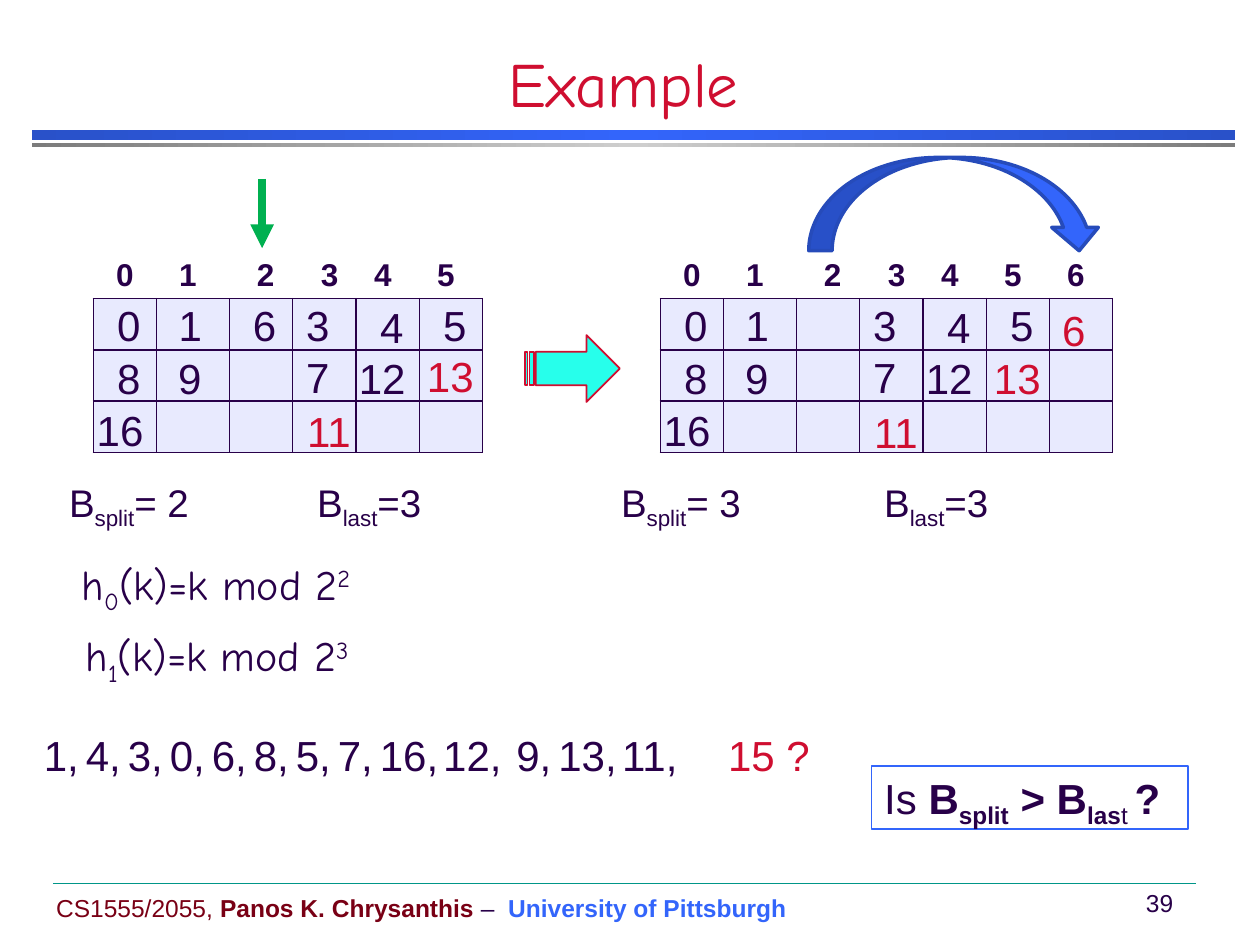
from lxml.etree import SubElement
from pptx import Presentation
from pptx.dml.color import RGBColor
from pptx.enum.shapes import MSO_CONNECTOR, MSO_SHAPE
from pptx.enum.text import MSO_ANCHOR, MSO_AUTO_SIZE, PP_ALIGN
from pptx.oxml.ns import qn
from pptx.util import Pt

INK = {
    "text": "280049", "red": "CF0E30", "maroon": "790015", "blue": "3365FB",
    "navy": "2951C9", "edge": "264BBA", "gray": "7C7C7C", "silver": "CECECE",
    "cell": "E8EAFE", "green": "00B050", "cyan": "27FFEB", "teal": "009688",
}
RGB = {name: RGBColor.from_string(code) for name, code in INK.items()}
PLAIN = "{2D5ABB26-0587-4C30-8999-92F81FD0307C}"  # table style without lines or fill


def write(para, text, size=24, font="Arial", color="text", bold=False, base=0):
    """Add one run; base is the percent it is raised or lowered."""
    run = para.add_run()
    run.text = text
    run.font.size = Pt(size)
    run.font.name = font
    run.font.bold = bold
    run.font.color.rgb = RGB[color]
    if base:
        run._r.get_or_add_rPr().set("baseline", str(base * 1000))


def box(x, y, w, h=36.7, wrap=True, align=PP_ALIGN.LEFT, anchor=MSO_ANCHOR.TOP):
    """Add a text box and return its first paragraph."""
    frame = slide.shapes.add_textbox(Pt(x), Pt(y), Pt(w), Pt(h)).text_frame
    frame.word_wrap = wrap
    frame.auto_size = MSO_AUTO_SIZE.SHAPE_TO_FIT_TEXT
    frame.vertical_anchor = anchor
    para = frame.paragraphs[0]
    para.alignment = align
    return para


deck = Presentation()
deck.slide_width, deck.slide_height = Pt(720), Pt(540)
slide = deck.slides.add_slide(deck.slide_layouts[6])
shapes = slide.shapes

# Title, rules and footer
for y, h, side, mid in ((74.2, 5.8, "navy", "blue"), (82, 2.2, "gray", "silver")):
    bar = shapes.add_shape(MSO_SHAPE.RECTANGLE, Pt(18), Pt(y), Pt(688), Pt(h))
    bar.shadow.inherit = False
    bar.line.fill.background()
    bar.fill.gradient()
    bar.fill.gradient_angle = 0
    stops = bar._element.spPr.find(".//" + qn("a:gsLst"))
    stops.clear()
    for place, name in ((0, side), (50, mid), (100, side)):
        stop = SubElement(stops, qn("a:gs"), pos=str(place * 1000))
        SubElement(stop, qn("a:srgbClr"), val=INK[name])

title = box(0, 30, 712.8, 42, align=PP_ALIGN.CENTER, anchor=MSO_ANCHOR.BOTTOM)
write(title, "Example", size=36, font="Comic Neue", color="red")

foot = box(25, 506.5, 435, 24, wrap=False, anchor=MSO_ANCHOR.MIDDLE)
write(foot, "CS1555/2055, ", size=14, color="maroon")
write(foot, "Panos K. Chrysanthis", size=14, color="maroon", bold=True)
write(foot, " –  ", size=14)
write(foot, "University of Pittsburgh", size=14, color="blue", bold=True)
page = box(643, 504, 35.3, 24, wrap=False, align=PP_ALIGN.CENTER, anchor=MSO_ANCHOR.MIDDLE)
write(page, " 39", size=14)

# Lines: footer rule and pointer to the bucket being split
for x, y, right, low, name, width in (
    (30.2, 504.7, 683.3, 504.7, "teal", 0.25),
    (149.8, 102.2, 149.8, 141.8, "green", 4.5),
):
    line = shapes.add_connector(MSO_CONNECTOR.STRAIGHT, Pt(x), Pt(y), Pt(right), Pt(low))
    line.line.color.rgb = RGB[name]
    line.line.width = Pt(width)
    if name == "green":
        SubElement(line.line._get_or_add_ln(), qn("a:tailEnd"), type="triangle")
    SubElement(line._element.spPr, qn("a:effectLst"))

# Bucket tables: four buckets together, each later one on its own
for left, last in ((53.3, 5), (377.3, 6)):
    parts = [(left, [36, 36, 48, 30], ["0", "1", " 2", "3"], [36, 42, 36, 36])]
    for n in range(4, last + 1):
        parts.append((left + 150.5 + 36 * (n - 4), [30], [str(n)], [36]))
    for x, heads, names, wide in parts:
        for y, rows, high, cols in ((170.6, 3, 29.3, wide), (144, 1, 28.8, heads)):
            table = shapes.add_table(
                rows, len(cols), Pt(x), Pt(y), Pt(sum(cols)), Pt(rows * high)).table
            table.first_row = table.horz_banding = False
            table._tbl.tblPr.find(qn("a:tableStyleId")).text = PLAIN
            for col, width in zip(table.columns, cols):
                col.width = Pt(width)
            for row in table.rows:
                row.height = Pt(high)
            for i, cell in enumerate(table.iter_cells()):
                if rows == 1:
                    cell.fill.background()
                    para = cell.text_frame.paragraphs[0]
                    para.alignment = PP_ALIGN.CENTER
                    write(para, names[i], size=18, bold=True)
                    continue
                for side in ("lnL", "lnR", "lnT", "lnB"):
                    edge = SubElement(cell._tc.get_or_add_tcPr(), qn("a:" + side), w="12700")
                    fill = SubElement(edge, qn("a:solidFill"))
                    SubElement(fill, qn("a:srgbClr"), val=INK["text"])
                cell.fill.solid()
                cell.fill.fore_color.rgb = RGB["cell"]

# Keys in the buckets: text, x, y, width, colour
both = [
    ("0", 59.8, 167.8, 30, "text"), ("1", 95, 167.8, 30, "text"),
    ("3", 167.8, 167.8, 30, "text"), ("4", 210.2, 168.5, 30, "text"),
    ("5", 246.2, 167.8, 30, "text"), ("8", 59.8, 198, 30, "text"),
    ("9", 94.8, 198, 30, "text"), ("7", 167.8, 197.3, 30, "text"),
    ("12", 198, 198, 42, "text"), ("16", 48.2, 227.5, 42, "text"),
]
before = [("6", 137.5, 167.8, 30, "text"), ("13", 236.9, 196.6, 48, "red"),
          ("11", 168.5, 228.2, 41, "red")]
after = [("6", 275.8, 170.6, 30, "red"), ("13", 236.9, 198, 48, "red"),
         ("11", 168.5, 229, 41, "red")]
for shift, keys in ((0, both + before), (324, both + after)):
    for text, x, y, width, color in keys:
        write(box(x + shift, y, width), text, color=color)

# Arrows between the two states
for kind, x, y, w, h, fill, edge, width in (
    (MSO_SHAPE.CURVED_DOWN_ARROW, 462.2, 90, 167.8, 53.3, "blue", "edge", 2),
    (MSO_SHAPE.STRIPED_RIGHT_ARROW, 300.2, 191.5, 54, 38.2, "cyan", "red", 1),
):
    arrow = shapes.add_shape(kind, Pt(x), Pt(y), Pt(w), Pt(h))
    arrow.shadow.inherit = False
    arrow.fill.solid()
    arrow.fill.fore_color.rgb = RGB[fill]
    arrow.line.color.rgb = RGB[edge]
    arrow.line.width = Pt(width)

# Split counters and hash functions
for x, w, sub, value in ((32.4, 87, "split", "= 2"), (174.2, 78, "last", "=3"),
                         (347.8, 87, "split", "= 3"), (498.2, 78, "last", "=3")):
    para = box(x, 270, w, 34, wrap=False)
    write(para, "B", size=22)
    write(para, sub, size=22, base=-25)
    write(para, value, size=22)

for x, y, w, sub, power in ((39.6, 315.4, 179, "0", "2"), (41.8, 356.4, 177, "1", "3")):
    para = box(x, y, w, wrap=False)
    for text, base in (("h", 0), (sub, -25), ("(k)=k mod 2", 0), (power, 30)):
        write(para, text, font="Comic Neue", base=base)

# Inserted keys, then the next one
steps = [(text, 18 + 24 * i) for i, text in enumerate("1, 4, 3, 0, 6, 8, 5, 7, 16,".split())]
steps += [("12,", 246.2), ("9,", 288), ("13,", 312), ("11,", 348.5)]
for text, x in steps:
    write(box(x, 413.3, 42 if len(text) == 2 else 52), text)
write(box(409, 413.3, 71.3), "15 ?", color="red")

# Question
ask = box(498.2, 437.8, 180.7, 36, wrap=False)
frame = shapes[-1]
frame.line.color.rgb = RGB["blue"]
frame.line.width = Pt(0.75)
for text, bold, base in (("Is ", False, 0), ("B", True, 0), ("split", True, -25),
                         (" > B", True, 0), ("las", True, -25), ("t ", False, -25),
                         ("?", True, 0)):
    write(ask, text, bold=bold, base=base)

deck.save("out.pptx")
